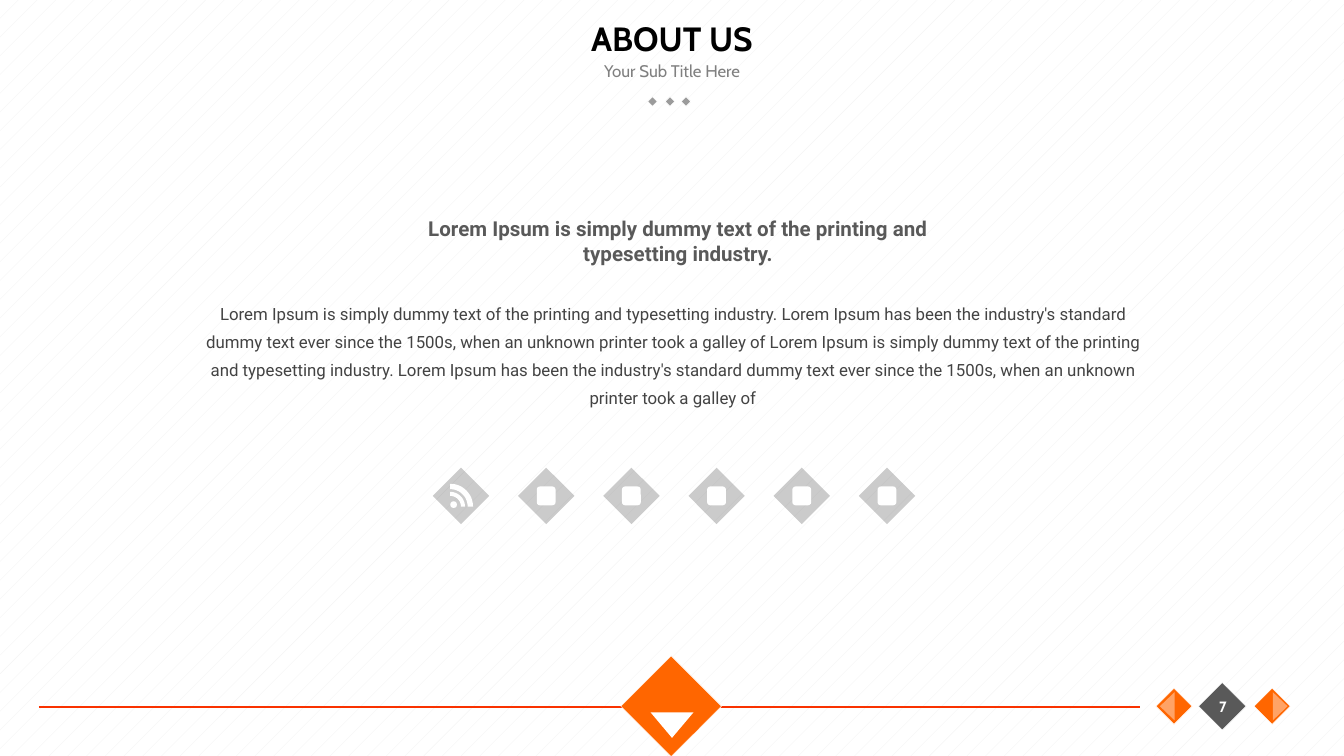
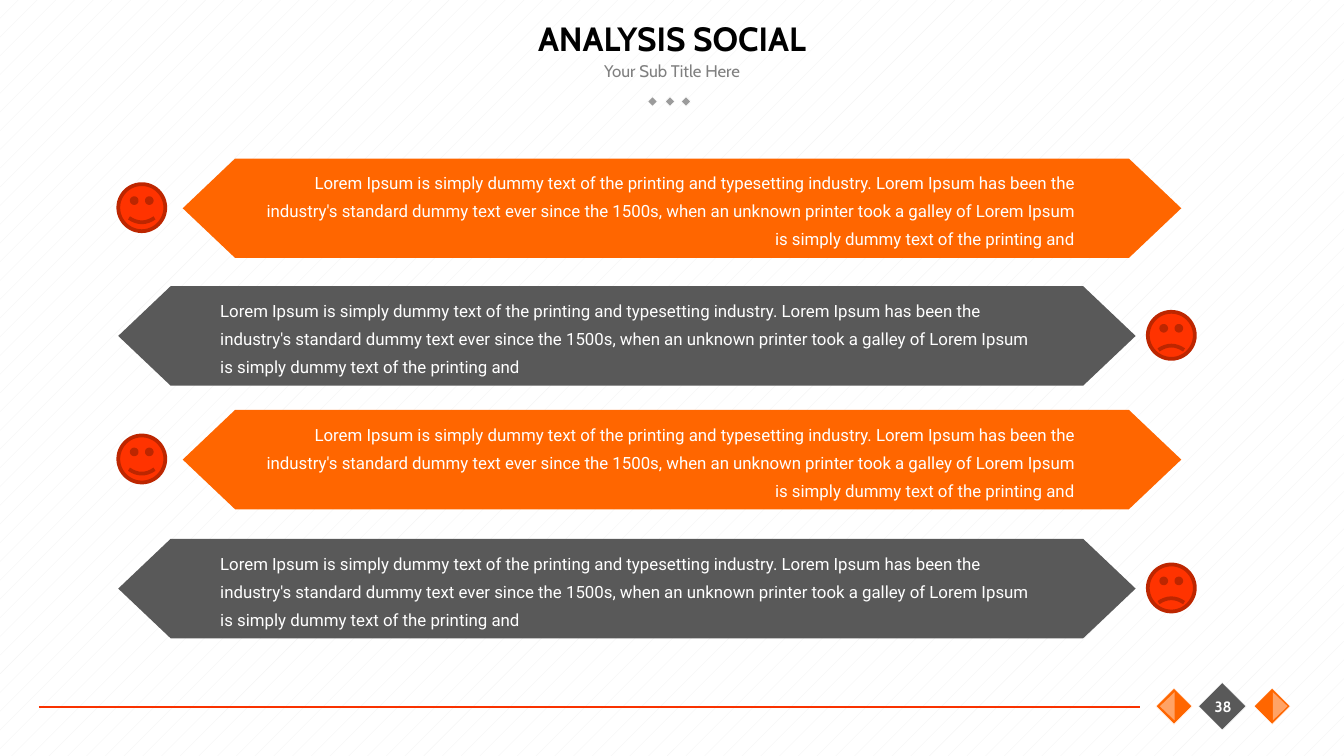
from math import cos, pi, sin

from lxml.etree import SubElement
from pptx import Presentation
from pptx.dml.color import RGBColor
from pptx.enum.dml import MSO_PATTERN
from pptx.enum.shapes import MSO_CONNECTOR, MSO_SHAPE
from pptx.enum.text import MSO_ANCHOR, PP_ALIGN
from pptx.oxml.ns import qn
from pptx.util import Inches, Pt

WHITE = RGBColor(0xFF, 0xFF, 0xFF)
BLACK = RGBColor(0x00, 0x00, 0x00)
STRIPE = RGBColor(0xF2, 0xF2, 0xF2)
ORANGE = RGBColor(0xFF, 0x66, 0x00)
LIGHT_ORANGE = RGBColor(0xFF, 0xA3, 0x66)
RED = RGBColor(0xFF, 0x33, 0x00)
DARK_RED = RGBColor(0xBD, 0x26, 0x00)
RULE_RED = RGBColor(0xF9, 0x32, 0x00)
CHARCOAL = RGBColor(0x59, 0x59, 0x59)
BODY_GRAY = RGBColor(0x43, 0x43, 0x43)
SUBTITLE_GRAY = RGBColor(0x80, 0x80, 0x80)
DOT_GRAY = RGBColor(0x9B, 0x9B, 0x9B)
NEAR_BLACK = RGBColor(0x0D, 0x0D, 0x0D)

HEADLINE = "Lorem Ipsum is simply dummy text of the printing and typesetting industry."
HISTORY = (
    "Lorem Ipsum has been the industry's standard dummy text ever since the 1500s, "
    "when an unknown printer took a galley of"
)
ABOUT_TEXT = f"{HEADLINE} {HISTORY} {HEADLINE} {HISTORY}"
SOCIAL_TEXT = f"{HEADLINE} {HISTORY} Lorem Ipsum is simply dummy text of the printing and"


def add_figure(page, kind, left, top, width, height, fill, line=None, weight=0.25, rotation=0):
    figure = page.shapes.add_shape(kind, Inches(left), Inches(top), Inches(width), Inches(height))
    figure.shadow.inherit = False
    figure.rotation = rotation
    figure.fill.solid()
    figure.fill.fore_color.rgb = fill
    if line is None:
        figure.line.fill.background()
    else:
        figure.line.color.rgb = line
        figure.line.width = Pt(weight)
    return figure


def add_text(page, text, left, top, width, height, font, size, color, bold=False,
             align=PP_ALIGN.CENTER, anchor=MSO_ANCHOR.MIDDLE, spacing=None):
    box = page.shapes.add_textbox(Inches(left), Inches(top), Inches(width), Inches(height))
    frame = box.text_frame
    frame.word_wrap = True
    frame.vertical_anchor = anchor
    frame.text = text
    para = frame.paragraphs[0]
    para.alignment = align
    if spacing:
        para.line_spacing = Pt(spacing)
    span = para.runs[0]
    span.font.name = font
    span.font.size = Pt(size)
    span.font.bold = bold
    span.font.color.rgb = color


deck = Presentation()
deck.slide_width = Inches(10)
deck.slide_height = Inches(10 * 9 / 16)

backdrop = deck.slide_master.background.fill
backdrop.patterned()
backdrop.pattern = MSO_PATTERN.PERCENT_5
backdrop.fore_color.rgb = STRIPE
backdrop.back_color.rgb = WHITE

pages = []
for title, number in [("ABOUT US", "7"), ("ANALYSIS SOCIAL", "38")]:
    page = deck.slides.add_slide(deck.slide_layouts[6])
    pages.append(page)
    for dot_left in (4.83, 4.96, 5.08):
        add_figure(page, MSO_SHAPE.RECTANGLE, dot_left, 0.73, 0.05, 0.05, DOT_GRAY, WHITE, rotation=315)
    add_text(page, "Your Sub Title Here", 3.75, 0.4, 2.5, 0.25, "Cabin", 9, SUBTITLE_GRAY)

    rule = page.shapes.add_connector(
        MSO_CONNECTOR.STRAIGHT, Inches(0.29), Inches(5.26), Inches(8.48), Inches(5.26))
    rule.line.color.rgb = RULE_RED
    rule.line.width = Pt(0.75)
    SubElement(rule._element.spPr, qn("a:effectLst"))

    add_figure(page, MSO_SHAPE.RECTANGLE, 8.97, 5.13, 0.25, 0.25, CHARCOAL, WHITE, rotation=315)
    for square_left, half_left, turn in [(9.37, 9.42, 90), (8.64, 8.58, 270)]:
        add_figure(page, MSO_SHAPE.RECTANGLE, square_left, 5.16, 0.19, 0.19, ORANGE, WHITE, rotation=315)
        add_figure(page, MSO_SHAPE.FLOWCHART_EXTRACT, half_left, 5.2, 0.21, 0.11, LIGHT_ORANGE, rotation=turn)

    add_text(page, title, 0.75, 0, 8.5, 0.56, "Cabin", 18, BLACK, bold=True)
    add_text(page, number, 8.89, 5.13, 0.42, 0.25, "Cabin", 8, WHITE, bold=True)

about, social = pages

add_text(about, ABOUT_TEXT, 1.42, 2.15, 7.17, 0.94, "Roboto", 9, BODY_GRAY,
         anchor=MSO_ANCHOR.TOP, spacing=15)
add_text(about, HEADLINE, 2.92, 1.56, 4.25, 0.47, "Roboto", 11, CHARCOAL, bold=True,
         anchor=MSO_ANCHOR.TOP)

for index in range(6):
    badge_left = 3.22 + index * 3.17 / 5
    badge = add_figure(about, MSO_SHAPE.DIAMOND, badge_left, 3.48, 0.42, 0.42, NEAR_BLACK)
    badge_color = badge._element.spPr.find(qn("a:solidFill")).find(qn("a:srgbClr"))
    SubElement(badge_color, qn("a:alpha")).set("val", "21000")
    if index:
        add_figure(about, MSO_SHAPE.ROUNDED_RECTANGLE, badge_left + 0.14, 3.62, 0.14, 0.14, WHITE)

add_figure(about, MSO_SHAPE.OVAL, 3.35, 3.73, 0.05, 0.05, WHITE)
angles = [step * pi / 24 for step in range(13)]
for inner, outer in [(0.08, 0.11), (0.13, 0.17)]:
    edge = [(outer, angle) for angle in angles] + [(inner, angle) for angle in reversed(angles)]
    points = [(Inches(3.35 + radius * cos(angle)), Inches(3.77 - radius * sin(angle)))
              for radius, angle in edge]
    builder = about.shapes.build_freeform(*points[0])
    builder.add_line_segments(points[1:], close=True)
    wave = builder.convert_to_shape()
    wave.shadow.inherit = False
    wave.fill.solid()
    wave.fill.fore_color.rgb = WHITE
    wave.line.fill.background()

add_figure(about, MSO_SHAPE.RECTANGLE, 4.73, 4.99, 0.53, 0.53, ORANGE, WHITE, rotation=315)
add_figure(about, MSO_SHAPE.FLOWCHART_MERGE, 4.84, 5.3, 0.32, 0.19, WHITE)

for index, top in enumerate((1.18, 2.13, 3.05, 4.01)):
    happy = index % 2 == 0
    if happy:
        left, width, fill, text_left, align, face_left = 1.36, 7.43, ORANGE, 1.83, PP_ALIGN.RIGHT, 0.88
    else:
        left, width, fill, text_left, align, face_left = 0.88, 7.57, CHARCOAL, 1.54, PP_ALIGN.LEFT, 8.54
    ribbon = add_figure(social, MSO_SHAPE.HEXAGON, left, top, width, 0.74, fill)
    ribbon.adjustments[0] = 0.39 / 0.74
    add_text(social, SOCIAL_TEXT, text_left, top, 6.26, 0.73, "Roboto", 9, WHITE,
             align=align, anchor=MSO_ANCHOR.TOP, spacing=15)
    face = add_figure(social, MSO_SHAPE.SMILEY_FACE, face_left, top + 0.19, 0.35, 0.35, RED, DARK_RED, 2)
    if not happy:
        face.adjustments[0] = -0.05

deck.save("out.pptx")
